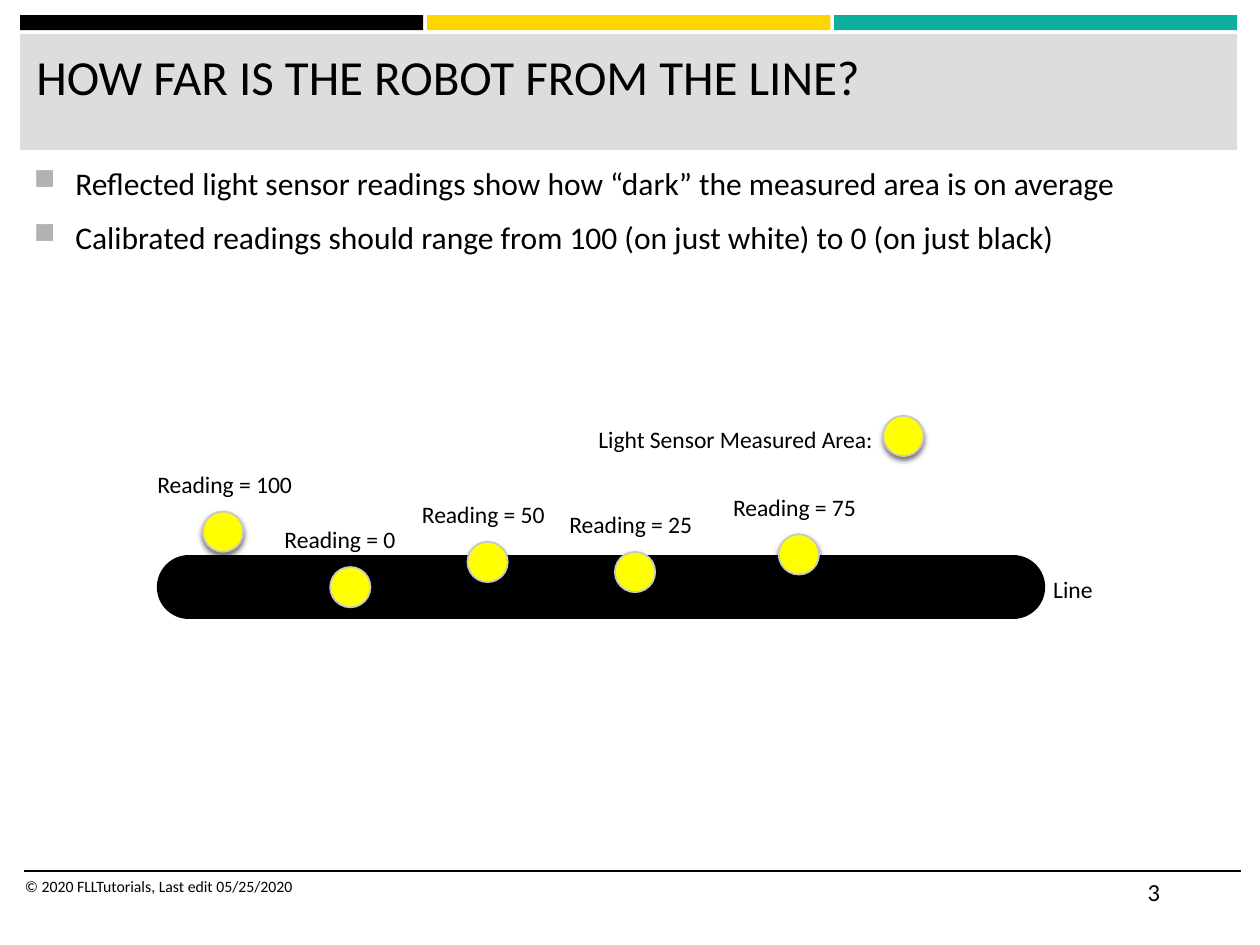
from lxml import etree
from pptx import Presentation
from pptx.dml.color import RGBColor
from pptx.enum import shapes, text
from pptx.oxml import parse_xml
from pptx.oxml.ns import nsdecls, qn
from pptx.util import Inches, Pt

BLACK = RGBColor(0x00, 0x00, 0x00)
YELLOW = RGBColor(0xFF, 0xD5, 0x00)
TEAL = RGBColor(0x0E, 0xAE, 0x9F)
BAND_GRAY = RGBColor(0xDD, 0xDD, 0xDD)
BULLET_GRAY = RGBColor(0xB2, 0xB2, 0xB2)
SPOT_YELLOW = RGBColor(0xFF, 0xFF, 0x00)
SPOT_EDGE = RGBColor(0xC7, 0xC7, 0xC7)

SPOT_SIZE = 0.32
SPOT_SHADOW = (
    f'<a:effectLst {nsdecls("a")}>'
    '<a:outerShdw blurRad="38100" dist="25400" dir="5400000" rotWithShape="0">'
    '<a:srgbClr val="000000"><a:alpha val="55000"/></a:srgbClr>'
    '</a:outerShdw></a:effectLst>'
)

presentation = Presentation()
presentation.slide_width = Inches(10)
presentation.slide_height = Inches(7.5)
slide = presentation.slides.add_slide(presentation.slide_layouts[6])


def add_text(left, top, width, height, lines, size, wrap=True):
    box = slide.shapes.add_textbox(Inches(left), Inches(top), Inches(width), Inches(height))
    box.text_frame.word_wrap = wrap
    if not wrap:
        box.text_frame.auto_size = text.MSO_AUTO_SIZE.SHAPE_TO_FIT_TEXT
    box.text_frame.text = lines
    for paragraph in box.text_frame.paragraphs:
        for run in paragraph.runs:
            run.font.name = "Calibri"
            run.font.size = Pt(size)
            run.font.color.rgb = BLACK
    return box


def add_shape(kind, left, top, width, height, color):
    shape = slide.shapes.add_shape(kind, Inches(left), Inches(top), Inches(width), Inches(height))
    shape.shadow.inherit = False
    shape.fill.solid()
    shape.fill.fore_color.rgb = color
    shape.line.fill.background()
    return shape


# Three coloured bars and the title band
for index, color in enumerate((BLACK, YELLOW, TEAL)):
    add_shape(shapes.MSO_SHAPE.RECTANGLE, 0.16 + index * 3.23, 0.12, 3.2, 0.12, color)
add_shape(shapes.MSO_SHAPE.RECTANGLE, 0.16, 0.27, 9.66, 0.92, BAND_GRAY)
add_text(0.19, 0.32, 9.57, 0.82, "HOW FAR IS THE ROBOT FROM THE LINE?", 28)

# Bulleted explanation
body = add_text(
    0.17, 1.25, 9.66, 5.56,
    "Reflected light sensor readings show how “dark” the measured area is on average\n"
    "Calibrated readings should range from 100 (on just white) to 0 (on just black)",
    18,
)
for index, paragraph in enumerate(body.text_frame.paragraphs):
    properties = paragraph._p.get_or_add_pPr()
    properties.set("marL", str(Inches(0.33)))
    properties.set("indent", str(-Inches(0.33)))
    bullet_color = etree.SubElement(properties, qn("a:buClr"))
    etree.SubElement(bullet_color, qn("a:srgbClr"), val=str(BULLET_GRAY))
    etree.SubElement(properties, qn("a:buSzPct"), val="92000")
    etree.SubElement(properties, qn("a:buChar"), char="■")
    paragraph.space_before = Pt(3.5 if index else 0)
    paragraph.space_after = Pt(6)

# Footer rule and the thick round-ended line the robot follows
for left, right, y, weight in ((0.19, 9.85, 6.91, 1), (1.5, 8.04, 4.66, 36.75)):
    connector = slide.shapes.add_connector(
        shapes.MSO_CONNECTOR.STRAIGHT, Inches(left), Inches(y), Inches(right), Inches(y)
    )
    connector.line.color.rgb = BLACK
    connector.line.width = Pt(weight)
    etree.SubElement(connector._element.spPr, qn("a:effectLst"))
connector.line._get_or_add_ln().set("cap", "rnd")

# Footer text
add_text(0.1, 6.91, 5.33, 0.4, "© 2020 FLLTutorials, Last edit 05/25/2020", 9)
add_text(9.01, 6.91, 0.84, 0.4, "3", 14)

# Light spots, each with its label: spot left and top, label offset and width
spots = [
    (7.01, 3.3, -2.36, 0.02, 2.41, "Light Sensor Measured Area:"),
    (1.61, 4.06, -0.46, -0.38, 1.29, "Reading = 100"),
    (2.62, 4.5, -0.46, -0.38, 1.1, "Reading = 0"),
    (3.71, 4.3, -0.46, -0.38, 1.19, "Reading = 50"),
    (4.88, 4.38, -0.46, -0.38, 1.19, "Reading = 25"),
    (6.18, 4.24, -0.46, -0.38, 1.19, "Reading = 75"),
]
for left, top, shift_x, shift_y, width, label in spots:
    spot = add_shape(shapes.MSO_SHAPE.OVAL, left, top, SPOT_SIZE, SPOT_SIZE, SPOT_YELLOW)
    spot.line.color.rgb = SPOT_EDGE
    spot.line.width = Pt(1)
    effects = spot._element.spPr.find(qn("a:effectLst"))
    effects.getparent().replace(effects, parse_xml(SPOT_SHADOW))
    add_text(left + shift_x, top + shift_y, width, 0.33, label, 13.5, wrap=False)
add_text(8.26, 4.51, 0.52, 0.33, "Line", 13.5, wrap=False)

presentation.save("out.pptx")
